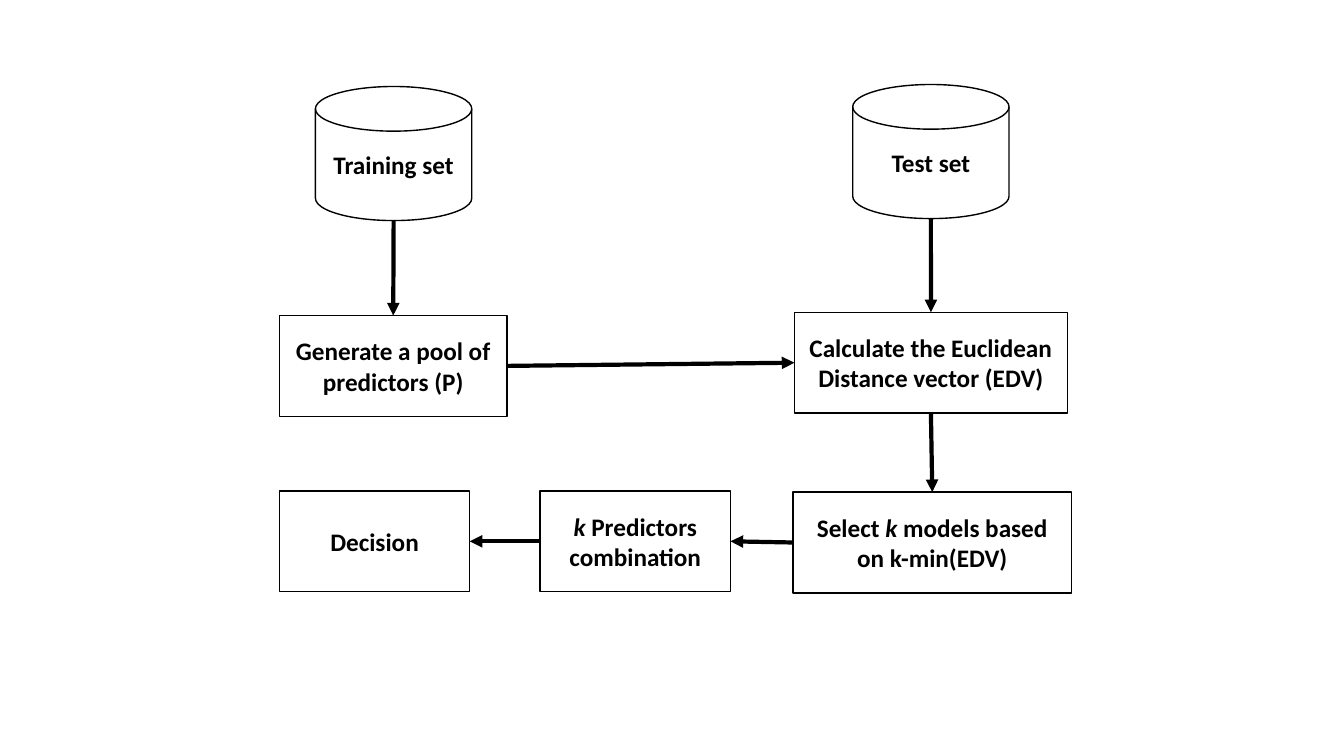
from lxml import etree
from pptx import Presentation
from pptx.dml.color import RGBColor
from pptx.enum.shapes import MSO_CONNECTOR, MSO_SHAPE
from pptx.enum.text import MSO_ANCHOR, PP_ALIGN
from pptx.oxml.ns import qn
from pptx.util import Cm, Pt

RECT = MSO_SHAPE.RECTANGLE
DISK = MSO_SHAPE.FLOWCHART_MAGNETIC_DISK
STRAIGHT = MSO_CONNECTOR.STRAIGHT
MIDDLE = MSO_ANCHOR.MIDDLE
CENTER = PP_ALIGN.CENTER
TOP, LEFT, BOTTOM, RIGHT = range(4)

BLACK, WHITE = "000000", "FFFFFF"
FONT = "Calibri"
DISK_W, DISK_H, BOX_H = 3.94, 3.38, 2.54

NODES = {
    "training": (DISK, 7.95, 2.18, DISK_W, DISK_H, [("Training set", False)]),
    "pool": (RECT, 7.04, 7.95, 5.74, BOX_H,
             [("Generate a pool of predictors (P)", False)]),
    "test": (DISK, 21.49, 2.13, DISK_W, DISK_H, [("Test set", False)]),
    "distance": (RECT, 20.02, 7.87, 6.88, BOX_H,
                 [("Calculate the Euclidean Distance vector (EDV)", False)]),
    "select": (RECT, 19.99, 12.4, 7.01, BOX_H,
               [("Select ", False), ("k", True),
                (" models based on k-min(EDV)", False)]),
    "combine": (RECT, 13.61, 12.37, 4.8, BOX_H,
                [("k", True), (" Predictors combination", False)]),
    "decision": (RECT, 7.04, 12.37, 4.8, BOX_H, [("Decision", False)]),
}

ARROWS = [
    ("training", BOTTOM, "pool", TOP),
    ("pool", RIGHT, "distance", LEFT),
    ("test", BOTTOM, "distance", TOP),
    ("distance", BOTTOM, "select", TOP),
    ("select", LEFT, "combine", RIGHT),
    ("combine", LEFT, "decision", RIGHT),
]


def color(value):
    return RGBColor.from_string(value)


def side_middle(sp, side):
    dx, dy = {TOP: (1, 0), LEFT: (0, 1), BOTTOM: (1, 2), RIGHT: (2, 1)}[side]
    return sp.left + sp.width * dx // 2, sp.top + sp.height * dy // 2


def add_node(s, kind, x, y, w, h, runs):
    sp = s.shapes.add_shape(kind, Cm(x), Cm(y), Cm(w), Cm(h))
    sp.shadow.inherit = False
    sp.fill.solid()
    sp.fill.fore_color.rgb = color(WHITE)
    sp.line.color.rgb = color(BLACK)
    sp.line.width = Pt(1)
    tf = sp.text_frame
    tf.word_wrap = True
    tf.vertical_anchor = MIDDLE
    p = tf.paragraphs[0]
    p.alignment = CENTER
    for text, italic in runs:
        r = p.add_run()
        r.text = text
        r.font.name = FONT
        r.font.size = Pt(18)
        r.font.bold = True
        r.font.italic = italic
        r.font.color.rgb = color(BLACK)
    return sp


def add_arrow(s, start, start_side, end, end_side):
    cx = s.shapes.add_connector(STRAIGHT, *side_middle(start, start_side),
                                *side_middle(end, end_side))
    if start.auto_shape_type == RECT:
        cx.begin_connect(start, start_side)
    cx.end_connect(end, end_side)
    cx.line.color.rgb = color(BLACK)
    cx.line.width = Pt(3)
    ln = cx.line._get_or_add_ln()
    etree.SubElement(ln, qn("a:tailEnd"), type="triangle")
    etree.SubElement(cx._element.spPr, qn("a:effectLst"))


def main():
    prs = Presentation()
    prs.slide_width, prs.slide_height = Cm(33.87), Cm(19.05)
    s = prs.slides.add_slide(prs.slide_layouts[6])
    shapes = {name: add_node(s, *node) for name, node in NODES.items()}
    for start, start_side, end, end_side in ARROWS:
        add_arrow(s, shapes[start], start_side, shapes[end], end_side)
    prs.save("out.pptx")


if __name__ == "__main__":
    main()
